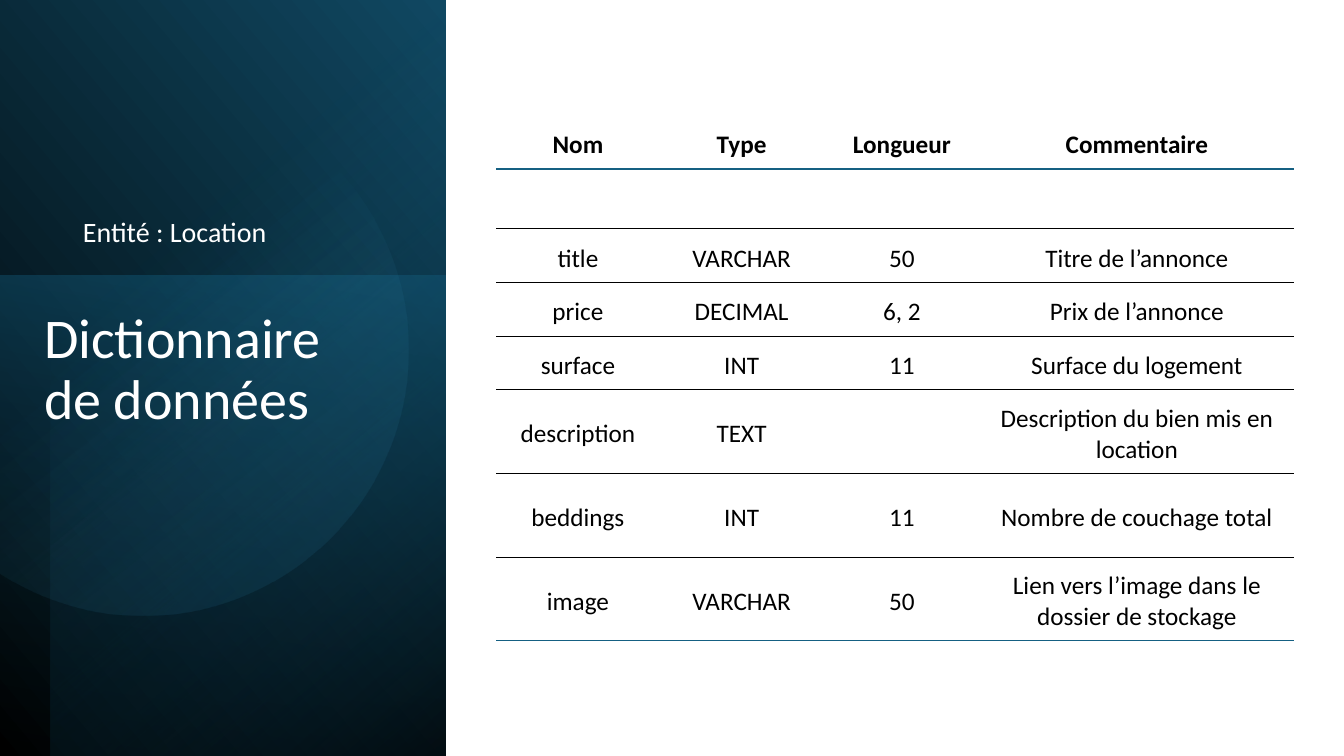
from lxml import etree
from pptx import Presentation
from pptx import util as u
from pptx.dml.color import RGBColor
from pptx.enum import shapes, text
from pptx.oxml.ns import qn

FONT = "Calibri"
WHITE, BLACK, BLUE = "FFFFFF", "000000", "156082"
ROWS = [
    ("Nom", "Type", "Longueur", "Commentaire"),
    ("", "", "", ""),
    ("title", "VARCHAR", "50", "Titre de l’annonce"),
    ("price", "DECIMAL", "6, 2", "Prix de l’annonce"),
    ("surface", "INT", "11", "Surface du logement"),
    ("description", "TEXT", "", "Description du bien mis en location"),
    ("beddings", "INT", "11", "Nombre de couchage total"),
    ("image", "VARCHAR", "50", "Lien vers l’image dans le dossier de stockage"),
]
WIDTHS = (4.11, 4.14, 3.94, 7.9)
HEIGHTS = (1.35, 1.5, 1.35, 1.35, 1.35, 2.11, 2.11, 2.11)

# Disc outline in cm: Bezier curves of three points, straight edges of one
START = (3.63, 2.13)
OUTLINE = [
    ((4.06, 2.13), (4.52, 2.18), (4.98, 2.26)),
    ((8.59, 3.02), (10.9, 6.55), (10.16, 10.16)),
    ((9.42, 13.77), (5.89, 16.1), (2.29, 15.37)),
    ((1.6, 15.22), (0.97, 14.99), (0.38, 14.66)),
    ((0, 14.43),),
    ((0, 3.2),),
    ((0.51, 2.92),),
    ((1.45, 2.41), (2.51, 2.13), START),
]


def color(code):
    return RGBColor.from_string(code)


def add(parent, tag, **attrs):
    return etree.SubElement(parent, qn(tag), attrs)


def fade(shape, stops, angle):
    """Fill with a linear gradient of (position, colour, opacity) stops."""
    shape.shadow.inherit = False
    shape.line.fill.background()
    shape.fill.gradient()
    grad = shape._element.spPr.find(qn("a:gradFill"))
    grad.attrib.pop("rotWithShape", None)
    for child in list(grad):
        grad.remove(child)
    group = add(grad, "a:gsLst")
    for pos, code, alpha in stops:
        stop = add(group, "a:gs", pos=str(pos * 1000))
        tint = add(stop, "a:srgbClr", val=code)
        if alpha < 100:
            add(tint, "a:alpha", val=str(alpha * 1000))
    add(grad, "a:lin", ang=str(angle * 60000), scaled="0")


def panel(slide, box, turn, flip, stops, angle):
    rect = slide.shapes.add_shape(
        shapes.MSO_SHAPE.RECTANGLE, *(u.Cm(v) for v in box))
    rect.rotation = turn
    if flip:
        rect._element.spPr.xfrm.set("flipH", "1")
    fade(rect, stops, angle)


def disc(slide, stops, angle):
    form = slide.shapes.build_freeform(*(u.Cm(v) for v in START))
    form.add_line_segments(
        [(u.Cm(x), u.Cm(y)) for part in OUTLINE for x, y in part])
    shape = form.convert_to_shape()
    # Join each three control points into one curve
    lines = iter(list(shape._element.spPr.iter(qn("a:lnTo"))))
    for part in OUTLINE:
        group = [next(lines) for _ in part]
        if len(group) == 3:
            curve = etree.Element(qn("a:cubicBezTo"))
            group[0].addprevious(curve)
            for line in group:
                curve.append(line[0])
                line.getparent().remove(line)
    fade(shape, stops, angle)


def style(para, size, code, bold=False):
    for run in para.runs:
        font = run.font
        font.name, font.size, font.bold = FONT, u.Pt(size), bold
        font.color.rgb = color(code)


def label(slide, box, words, size, anchor):
    frame = slide.shapes.add_textbox(*(u.Cm(v) for v in box)).text_frame
    frame.word_wrap = True
    frame.vertical_anchor = anchor
    frame.text = words
    para = frame.paragraphs[0]
    para.line_spacing = 0.9
    style(para, size, WHITE)


def border(cell, sides):
    """Draw the given sides; leave the others without a line."""
    props = cell._tc.get_or_add_tcPr()
    for i, side in enumerate(("lnL", "lnR", "lnT", "lnB")):
        line = etree.Element(qn("a:" + side))
        if side in sides:
            code, width = sides[side]
            line.set("w", str(u.Pt(width)))
            add(add(line, "a:solidFill"), "a:srgbClr", val=code)
        else:
            add(line, "a:noFill")
        props.insert(i, line)


def grid(slide, left, top):
    table = slide.shapes.add_table(
        len(ROWS), len(WIDTHS), u.Cm(left), u.Cm(top),
        u.Cm(sum(WIDTHS)), u.Cm(sum(HEIGHTS))).table
    table.horz_banding = False
    for col, width in zip(table.columns, WIDTHS):
        col.width = u.Cm(width)
    rules = [(BLUE, 1.5)] + [(BLACK, 0.25)] * (len(ROWS) - 2) + [(BLUE, 1)]
    for r, row in enumerate(ROWS):
        table.rows[r].height = u.Cm(HEIGHTS[r])
        sides = {"lnB": rules[r]}
        if r:
            sides["lnT"] = rules[r - 1]
        for c, words in enumerate(row):
            cell = table.cell(r, c)
            cell.fill.background()
            border(cell, sides)
            cell.vertical_anchor = text.MSO_ANCHOR.MIDDLE
            cell.margin_left = cell.margin_right = u.Cm(0.36)
            cell.margin_top, cell.margin_bottom = u.Cm(0.33), u.Cm(0.18)
            cell.text = words
            para = cell.text_frame.paragraphs[0]
            para.alignment = text.PP_ALIGN.CENTER
            style(para, 18, BLACK, r == 0)


def main():
    deck = Presentation()
    deck.slide_width, deck.slide_height = u.Cm(33.87), u.Cm(19.05)
    slide = deck.slides.add_slide(deck.slide_layouts[6])

    # Shaded side panel
    panel(slide, (-3.93, 3.93, 19.1, 11.24), 90, True,
          [(0, BLACK, 100), (100, "104862", 100)], 310)
    panel(slide, (-0.43, 7.38, 12.09, 11.23), 270, False,
          [(0, BLUE, 50), (100, "0B3041", 0)], 190)
    panel(slide, (-3.28, 4.55, 19.05, 9.96), 270, True,
          [(0, BLACK, 59), (69, BLUE, 0)], 220)
    disc(slide, [(39, "46B1E1", 0), (100, "104862", 26)], 52)

    # Headings
    label(slide, (0.86, 7.7, 9.09, 8.48), "Dictionnaire de données", 40,
          text.MSO_ANCHOR.TOP)
    label(slide, (1.84, 2.24, 8.1, 4.14), "Entité : Location", 20,
          text.MSO_ANCHOR.BOTTOM)

    # Data dictionary
    grid(slide, 12.51, 2.91)
    deck.save("out.pptx")


if __name__ == "__main__":
    main()
